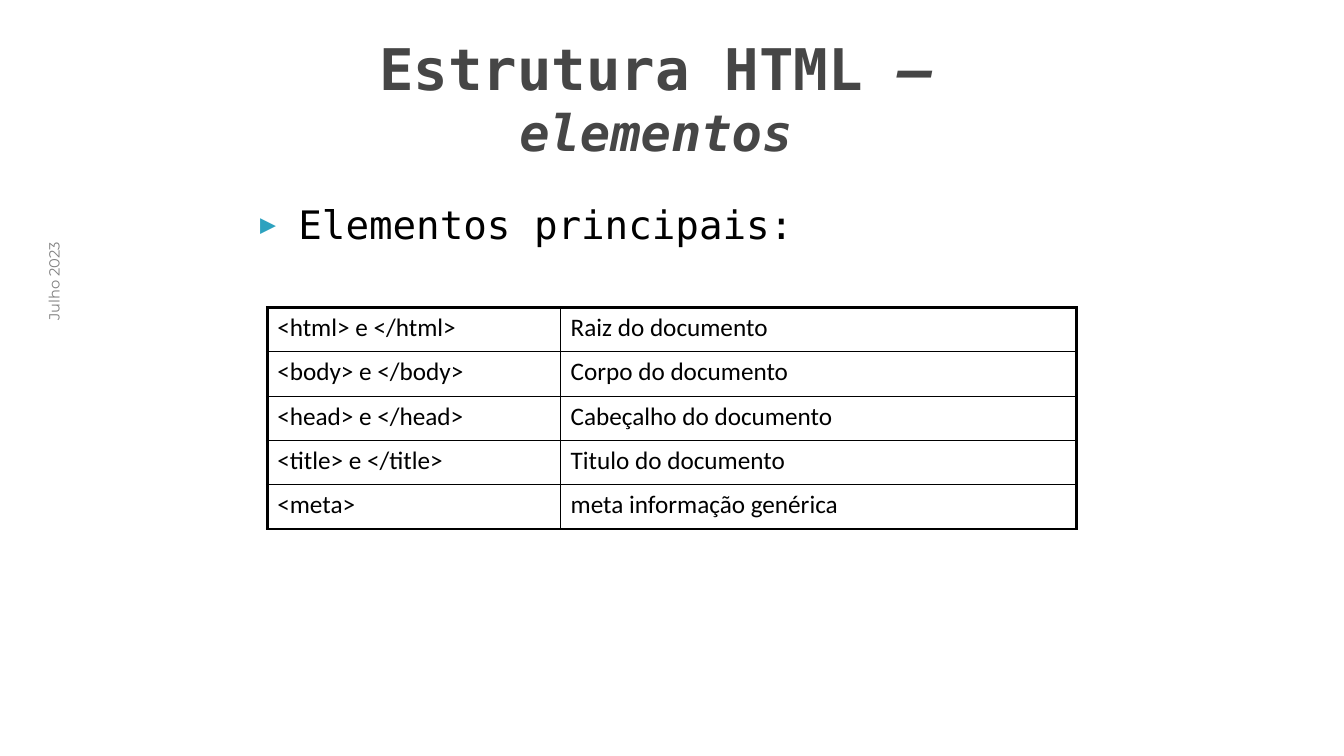
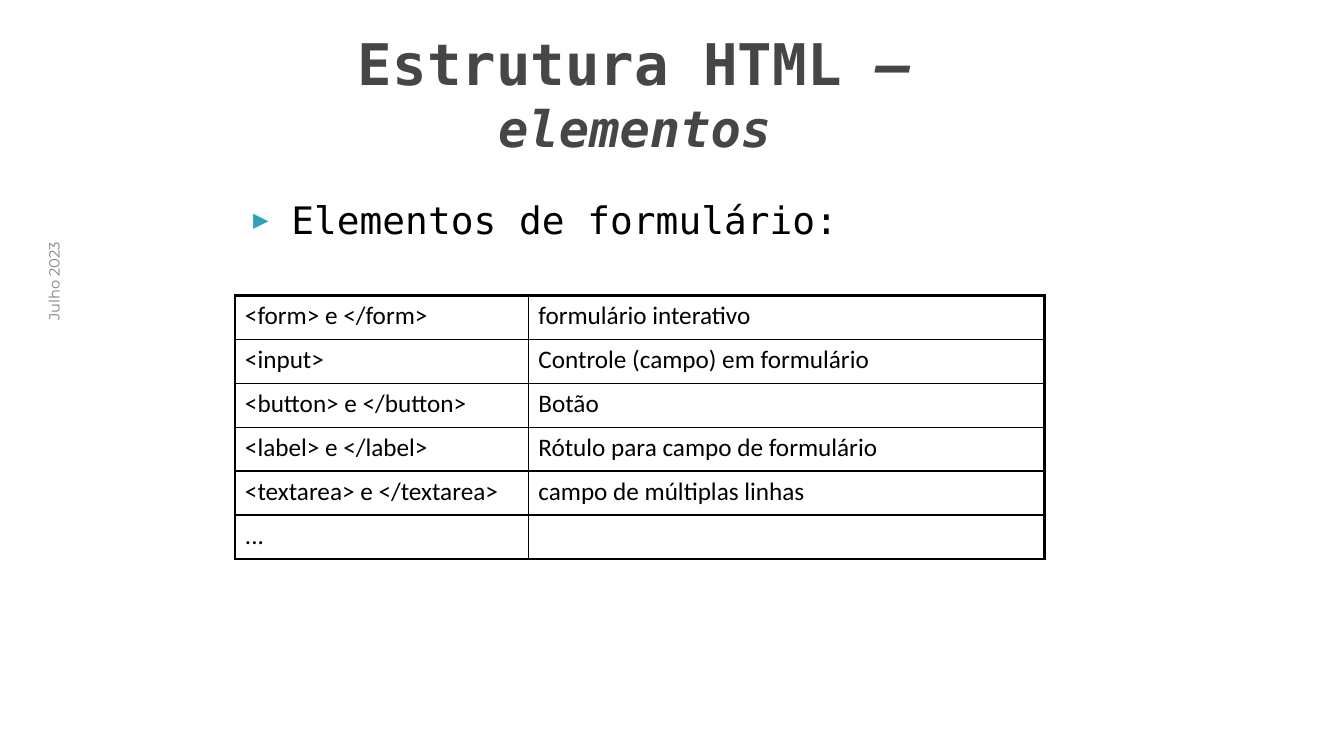
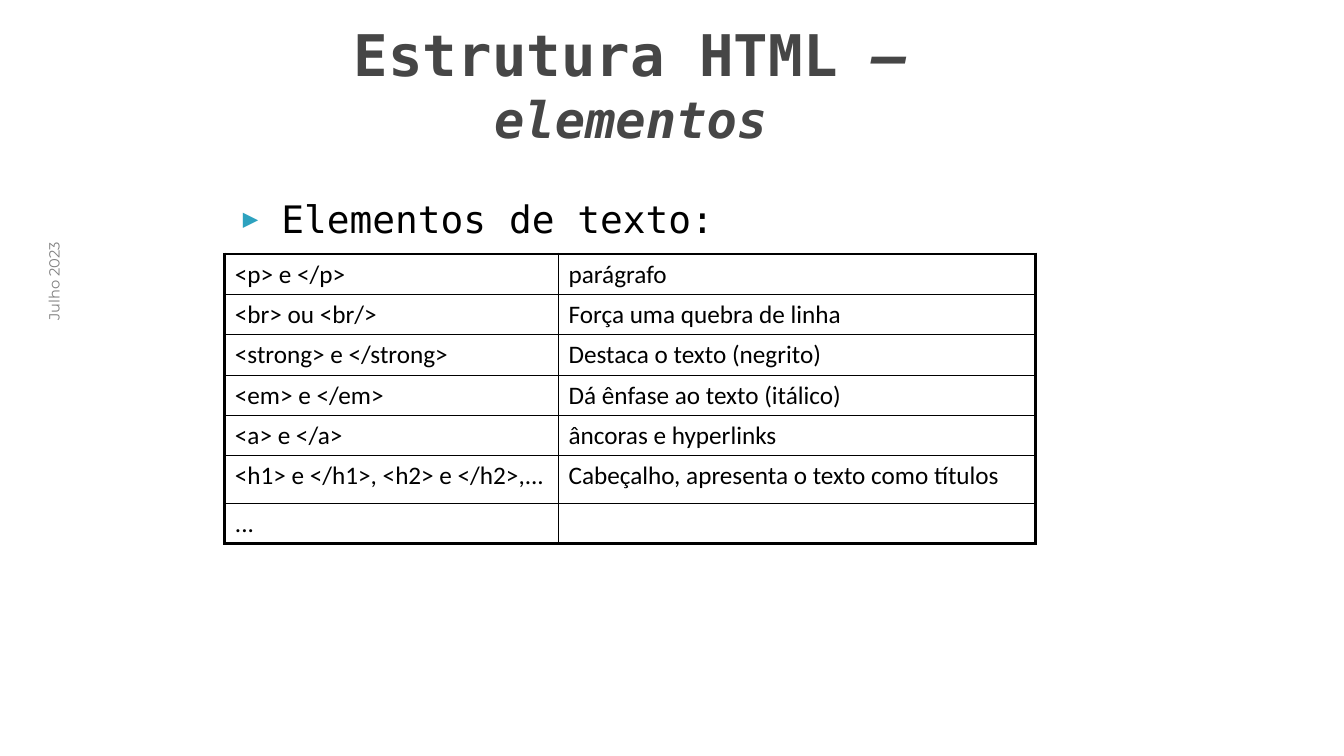
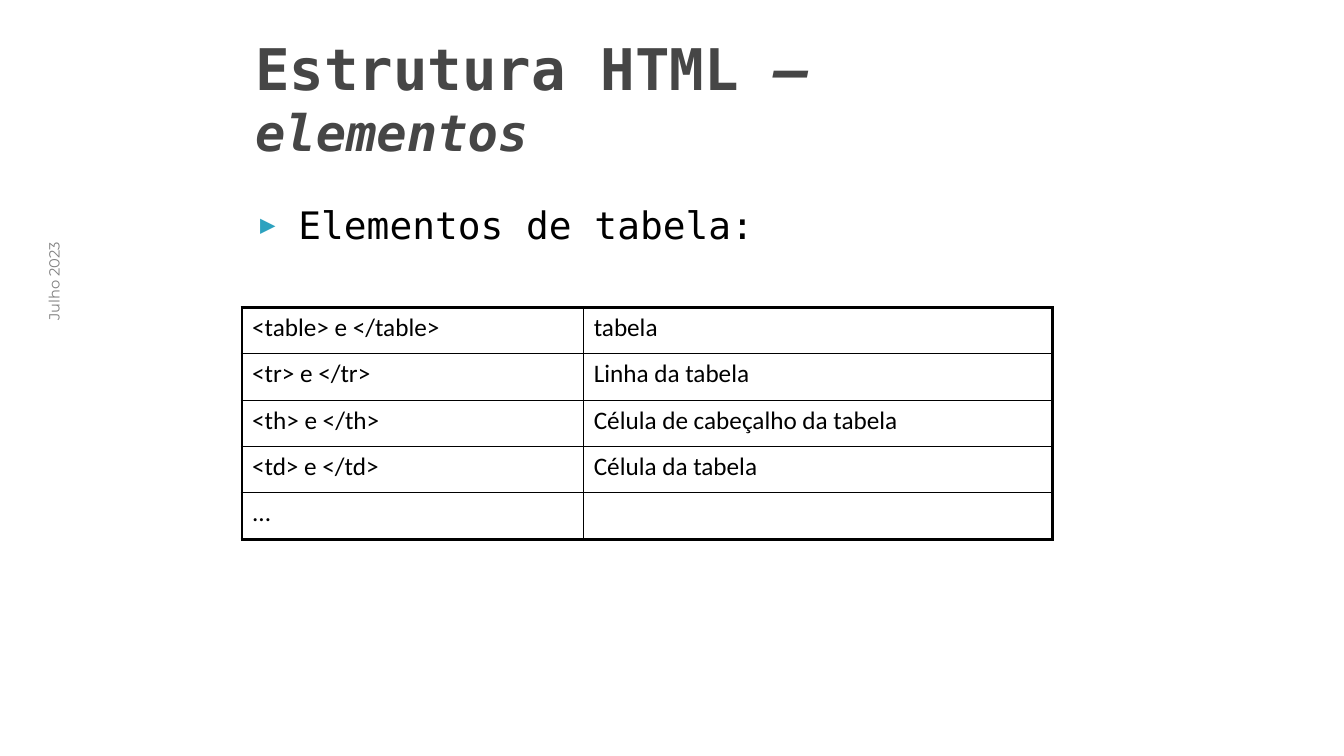
from dataclasses import dataclass

from lxml import etree
from pptx import Presentation
from pptx.dml.color import RGBColor as RGB
from pptx.enum.text import MSO_ANCHOR as Anchor, MSO_AUTO_SIZE as AutoSize, PP_ALIGN as Align
from pptx.oxml.ns import qn
from pptx.util import Inches, Pt


@dataclass(frozen=True)
class Theme:
    title_color: str = "464646"
    text_color: str = "000000"
    date_color: str = "808080"
    accent: str = "2DA2BF"
    code_font: str = "DejaVu Sans Mono"
    table_font: str = "Calibri"
    date_font: str = "Montserrat"
    title_size: float = 41
    subtitle_size: float = 36
    table_size: float = 18
    date_size: float = 10.5
    outer_line: float = 2.25
    inner_line: float = 1


theme = Theme()


def set_font(para, name, size, color):
    para.font.name = name
    para.font.size = Pt(size)
    para.font.color.rgb = RGB.from_string(color)


def add_border(cell, side, width):
    line = etree.SubElement(cell._tc.get_or_add_tcPr(), qn(f"a:ln{side}"), w=str(Pt(width)))
    fill = etree.SubElement(line, qn("a:solidFill"))
    etree.SubElement(fill, qn("a:srgbClr"), val=theme.text_color)


# Content: positions are (left, top) in inches
pages = [
    dict(
        title_at=(2.43, 0.19), align=Align.CENTER,
        heading="Elementos principais:", heading_at=(2.48, 1.94), heading_size=28,
        table_at=(2.65, 3.05), columns=(2.91, 5.12), row_height=0.44,
        rows=[
            ("<html> e </html>", "Raiz do documento"),
            ("<body> e </body>", "Corpo do documento"),
            ("<head> e </head>", "Cabeçalho do documento"),
            ("<title> e </title>", "Titulo do documento"),
            ("<meta>", "meta informação genérica"),
        ],
    ),
    dict(
        title_at=(2.22, 0.15), align=Align.CENTER,
        heading="Elementos de formulário:", heading_at=(2.41, 1.9), heading_size=27,
        table_at=(2.33, 2.93), columns=(2.91, 5.12), row_height=0.436,
        rows=[
            ("<form> e </form>", "formulário interativo"),
            ("<input>", "Controle (campo) em formulário"),
            ("<button> e </button>", "Botão"),
            ("<label> e </label>", "Rótulo para campo de formulário"),
            ("<textarea> e </textarea>", "campo de múltiplas linhas"),
            ("...", ""),
        ],
    ),
    dict(
        title_at=(2.18, 0.06), align=Align.CENTER,
        heading="Elementos de texto:", heading_at=(2.31, 1.89), heading_size=27,
        table_at=(2.23, 2.52), columns=(3.31, 4.73), row_height=0.4, tall_rows={5: 0.47},
        rows=[
            ("<p> e </p>", "parágrafo"),
            ("<br> ou <br/>", "Força uma quebra de linha"),
            ("<strong> e </strong>", "Destaca o texto (negrito)"),
            ("<em> e </em>", "Dá ênfase ao texto (itálico)"),
            ("<a> e </a>", "âncoras e hyperlinks"),
            ("<h1> e </h1>, <h2> e </h2>,...", "Cabeçalho, apresenta o texto como títulos"),
            ("...", ""),
        ],
    ),
    dict(
        title_at=(2.43, 0.19), align=Align.LEFT,
        heading="Elementos de tabela:", heading_at=(2.48, 1.95), heading_size=27,
        table_at=(2.4, 3.05), columns=(3.39, 4.65), row_height=0.46,
        rows=[
            ("<table> e </table>", "tabela"),
            ("<tr> e </tr>", "Linha da tabela"),
            ("<th> e </th>", "Célula de cabeçalho da tabela"),
            ("<td> e </td>", "Célula da tabela"),
            ("...", ""),
        ],
    ),
]

deck = Presentation()
deck.slide_width, deck.slide_height = Inches(13.33), Inches(7.5)

for page in pages:
    slide = deck.slides.add_slide(deck.slide_layouts[1])
    title, body = slide.shapes.title, slide.placeholders[1]

    # Date along the left edge
    date = slide.shapes.add_textbox(Inches(-0.21), Inches(2.93), Inches(1.5), Inches(0.25))
    date.rotation = 270
    date.text_frame.word_wrap = True
    para = date.text_frame.paragraphs[0]
    para.text = "Julho 2023"
    para.alignment = Align.RIGHT
    para.line_spacing = 0.9
    set_font(para, theme.date_font, theme.date_size, theme.date_color)

    # Title and list frames
    for box, at, height, anchor in (
        (title, page["title_at"], 1.55, Anchor.MIDDLE),
        (body, page["heading_at"], 0.71, Anchor.TOP),
    ):
        box.left, box.top = map(Inches, at)
        box.width, box.height = Inches(8.15 if box is title else 8.38), Inches(height)
        box.text_frame.auto_size = AutoSize.NONE
        box.text_frame.vertical_anchor = anchor

    # Title
    para = title.text_frame.paragraphs[0]
    para.alignment = page["align"]
    set_font(para, theme.code_font, theme.title_size, theme.title_color)
    para.font.bold = True
    for text, size, italic in (
        ("Estrutura HTML", theme.title_size, False),
        (" – ", theme.title_size, True),
        ("elementos", theme.subtitle_size, True),
    ):
        span = para.add_run()
        span.text = text
        span.font.size = Pt(size)
        span.font.italic = italic

    # Bulleted heading
    para = body.text_frame.paragraphs[0]
    para.text = page["heading"]
    props = para._p.get_or_add_pPr()
    props.set("marL", str(Inches(0.38)))
    props.set("indent", str(Inches(-0.38)))
    bullet_color = etree.SubElement(props, qn("a:buClr"))
    etree.SubElement(bullet_color, qn("a:srgbClr"), val=theme.accent)
    etree.SubElement(props, qn("a:buSzPct"), val="68000")
    etree.SubElement(props, qn("a:buFont"), typeface=theme.code_font)
    etree.SubElement(props, qn("a:buChar"), char="▶")
    para.space_before = Pt(4)
    set_font(para, theme.code_font, page["heading_size"], theme.text_color)

    # Table of elements
    rows, columns = page["rows"], page["columns"]
    heights = [page.get("tall_rows", {}).get(i, page["row_height"]) for i in range(len(rows))]
    left, top = map(Inches, page["table_at"])
    table = slide.shapes.add_table(
        len(rows), len(columns), left, top, Inches(sum(columns)), Inches(sum(heights))
    ).table
    table.first_row = table.horz_banding = False
    for column, width in zip(table.columns, columns):
        column.width = Inches(width)
    for r, texts in enumerate(rows):
        table.rows[r].height = Inches(heights[r])
        for c, text in enumerate(texts):
            cell = table.cell(r, c)
            para = cell.text_frame.paragraphs[0]
            para.text = text
            set_font(para, theme.table_font, theme.table_size, theme.text_color)
            for side, is_outer in (
                ("L", c == 0),
                ("R", c == len(columns) - 1),
                ("T", r == 0),
                ("B", r == len(rows) - 1),
            ):
                add_border(cell, side, theme.outer_line if is_outer else theme.inner_line)
            cell.fill.background()

deck.save("out.pptx")
